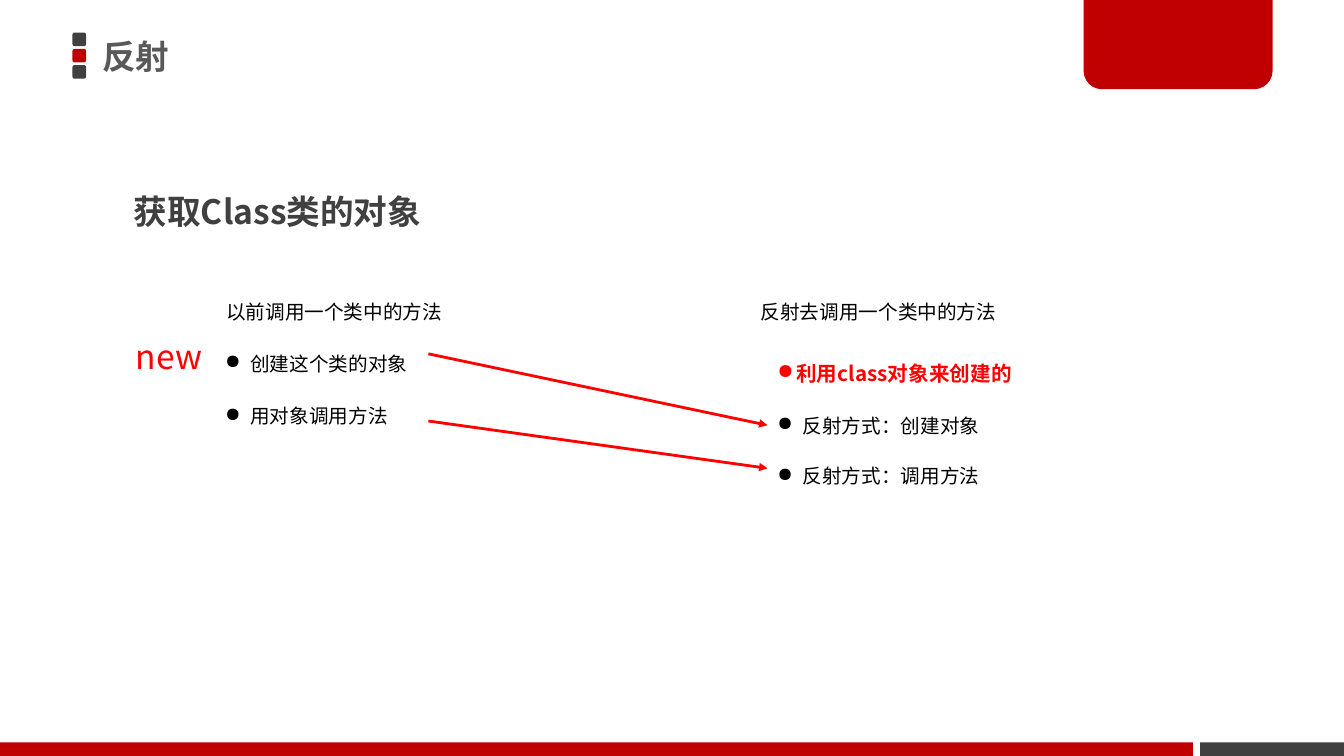
from lxml import etree
from pptx import Presentation
from pptx.dml.color import RGBColor
from pptx.enum.shapes import MSO_CONNECTOR, MSO_SHAPE
from pptx.enum.text import MSO_ANCHOR, MSO_AUTO_SIZE
from pptx.oxml.ns import qn
from pptx.util import Emu, Pt

RECT = MSO_SHAPE.RECTANGLE
ROUNDED = MSO_SHAPE.ROUNDED_RECTANGLE
TAB = MSO_SHAPE.ROUND_2_SAME_RECTANGLE
STRAIGHT = MSO_CONNECTOR.STRAIGHT
MIDDLE, TOP = MSO_ANCHOR.MIDDLE, MSO_ANCHOR.TOP
GROW, FIXED = MSO_AUTO_SIZE.SHAPE_TO_FIT_TEXT, MSO_AUTO_SIZE.NONE

WIDTH, HEIGHT = 1280, 720
DARK, RED, BRIGHT, BLACK = "404040", "C00000", "FF0000", "000000"
FONT, TITLE_FONT = "Noto Sans CJK SC", "Noto Sans CJK JP"


def px(length):
    """Turn pixels into EMU."""
    return Emu(length * 9525)


def color(value):
    """Turn a hex string into a colour."""
    return RGBColor.from_string(value)


def add_block(page, kind, box, fill):
    """Add a plain filled shape."""
    block = page.shapes.add_shape(kind, *map(px, box))
    block.shadow.inherit = False
    block.fill.solid()
    block.fill.fore_color.rgb = color(fill)
    block.line.fill.background()
    return block


def add_text(page, box, text, size=14, fill=BLACK, bold=False, font=FONT,
             spacing=1.5, indent=0, anchor=TOP, wrap=True):
    """Add a one-paragraph text box, bulleted when it has an indent."""
    frame = page.shapes.add_textbox(*map(px, box)).text_frame
    frame.word_wrap = wrap
    frame.auto_size = GROW if anchor == TOP else FIXED
    frame.vertical_anchor = anchor
    para = frame.paragraphs[0]
    para.text = text
    properties = para._p.get_or_add_pPr()
    if indent:
        properties.set("marL", str(px(indent)))
        properties.set("indent", str(-px(indent)))
        etree.SubElement(properties, qn("a:buChar"), char="●")
    para.line_spacing = spacing
    para.font.name = font
    para.font.size = Pt(size)
    para.font.bold = bold
    para.font.color.rgb = color(fill)
    defaults = properties.find(qn("a:defRPr"))
    etree.SubElement(defaults, qn("a:ea"), typeface=font)


def add_arrow(page, start, end):
    """Add a red arrow between two points."""
    arrow = page.shapes.add_connector(STRAIGHT, *map(px, start + end))
    arrow.line.color.rgb = color(BRIGHT)
    arrow.line.width = Pt(2)
    etree.SubElement(arrow.line._get_or_add_ln(), qn("a:tailEnd"), type="triangle")
    etree.SubElement(arrow._element.spPr, qn("a:effectLst"))


def add_header(page, left, top):
    """Add the three squares, the page title and the corner tab."""
    for row, fill in enumerate((DARK, RED, DARK)):
        add_block(page, ROUNDED, (left, top + 31 + 15.5 * row, 13, 13), fill)
    tab = add_block(page, TAB, (left + 963, top - 3, 180, 88), RED)
    tab.adjustments[0] = 0
    tab.adjustments[1] = 0.2
    add_text(page, (left + 19, top - 3, 754, 113), "反射", 24, "595959", True,
             TITLE_FONT, spacing=1, anchor=MIDDLE)


def add_footer(page, top):
    """Add the two-coloured bar along the bottom edge."""
    for left, right, fill in ((0, 1136, RED), (1143, WIDTH, DARK)):
        add_block(page, RECT, (left, top, right - left, HEIGHT - top), fill)


def add_direct_call(page, left, top):
    """Add the steps of an ordinary method call."""
    add_text(page, (left + 1, top, 272, 39), "以前调用一个类中的方法")
    for row, step in enumerate(("创建这个类的对象", "用对象调用方法")):
        add_text(page, (left, top + 49 + 50 * row, 272, 39), step, indent=24)
    add_text(page, (left - 85, top + 45, 84, 48), "new", 24, BRIGHT,
             spacing=1, wrap=False)


def add_reflected_call(page, left, top):
    """Add the steps of a method call through reflection."""
    add_text(page, (left, top, 252, 39), "反射去调用一个类中的方法")
    add_text(page, (left + 16, top + 57, 403, 41), "利用class对象来创建的",
             14.7, BRIGHT, True, indent=18)
    for row, step in enumerate(("反射方式：创建对象", "反射方式：调用方法")):
        add_text(page, (left + 16, top + 108 + 48 * row, 403, 39), step, indent=24)


def add_comparison(page, left, top):
    """Add the heading, both columns and the arrows between them."""
    add_text(page, (left, top, 492, 61), "获取Class类的对象", 24, DARK, True)
    add_direct_call(page, left + 87, top + 112)
    add_reflected_call(page, left + 597, top + 112)
    for start, end in ((179, 247), (243, 288)):
        add_arrow(page, (left + 290, top + start), (left + 613, top + end))


def main():
    """Build the deck and save it."""
    deck = Presentation()
    deck.slide_width, deck.slide_height = px(WIDTH), px(HEIGHT)
    page = deck.slides.add_slide(deck.slide_layouts[6])
    add_header(page, 69, 0)
    add_footer(page, 707)
    add_comparison(page, 118, 158)
    deck.save("out.pptx")


if __name__ == "__main__":
    main()
